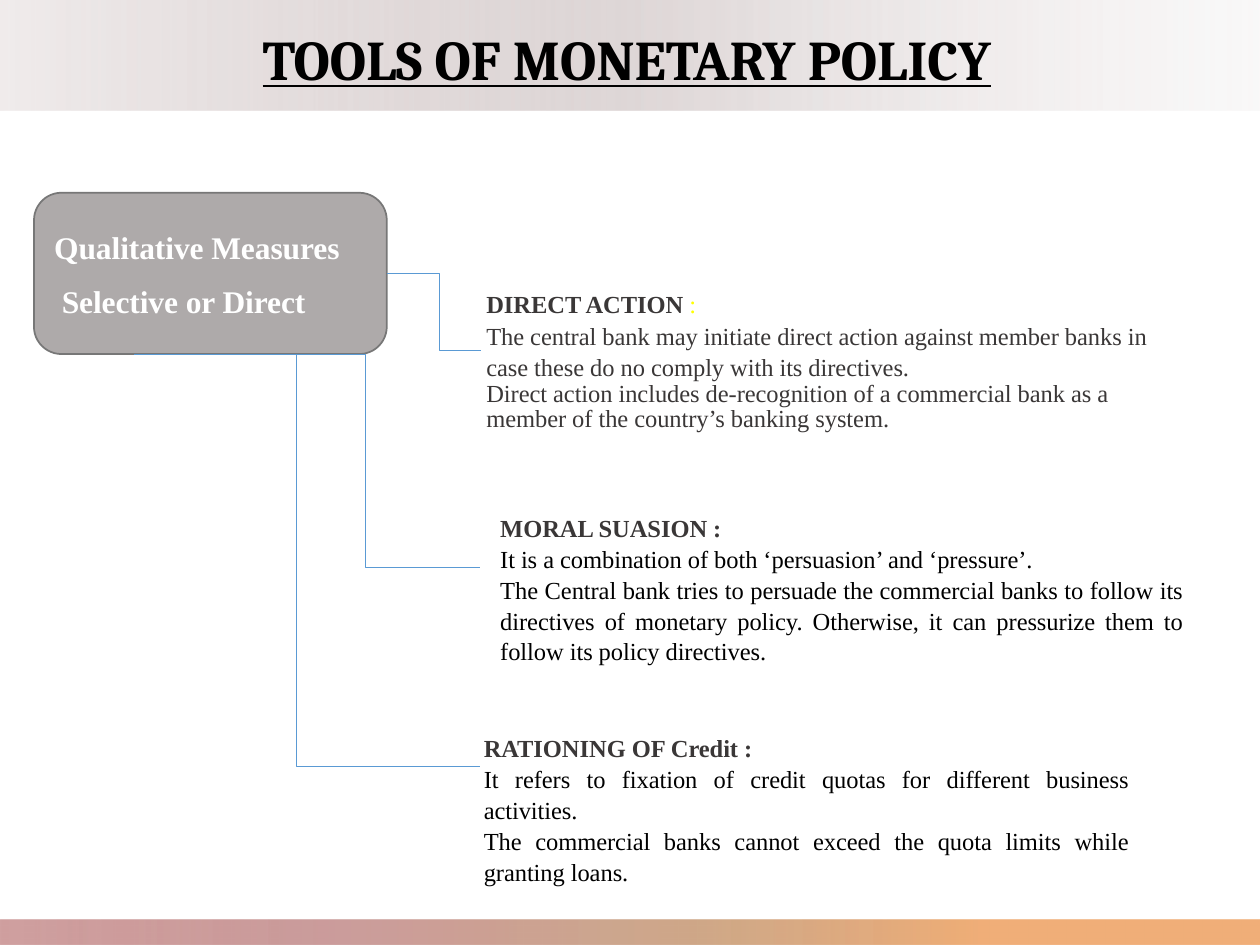
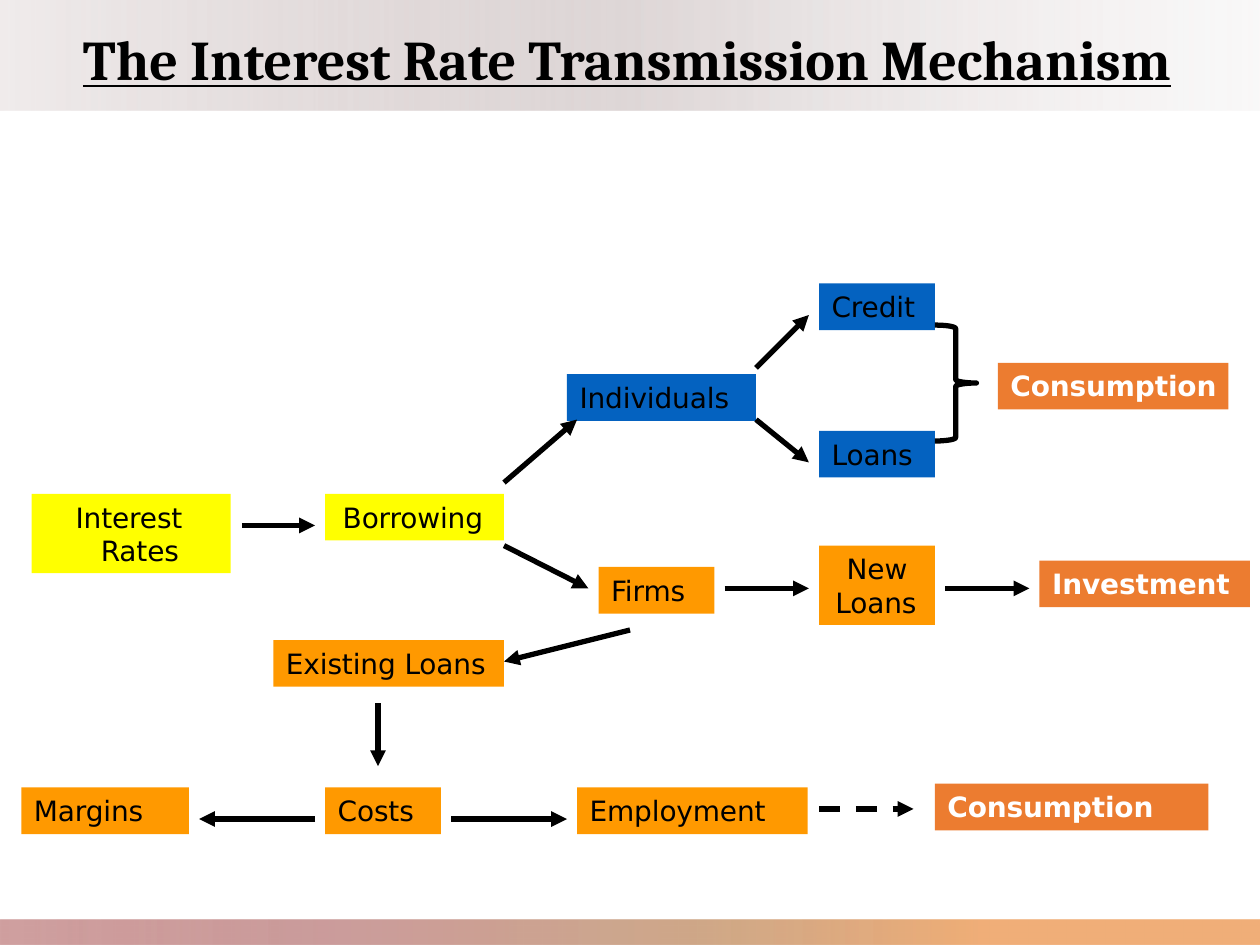
from typing import NamedTuple

import pptx
import pptx.dml.color
import pptx.enum.dml
import pptx.enum.shapes
import pptx.enum.text
import pptx.oxml
import pptx.oxml.ns
import pptx.util
from lxml import etree

Inches = pptx.util.Inches
Pt = pptx.util.Pt
SHAPE = pptx.enum.shapes.MSO_SHAPE
CONNECTOR = pptx.enum.shapes.MSO_CONNECTOR
ALIGN = pptx.enum.text.PP_ALIGN
ANCHOR = pptx.enum.text.MSO_ANCHOR
qn = pptx.oxml.ns.qn

BLACK, WHITE, CHARCOAL = "000000", "FFFFFF", "3A3737"
YELLOW, BLUE, AMBER, ORANGE = "FFFF00", "0462C0", "FF9900", "EC7C30"
ELBOW_BLUE, BOX_GREY, BOX_EDGE = "5A9AD4", "AEAAAA", "777777"
TITLE_FONT, BODY_FONT, NODE_FONT = "Cambria", "Times New Roman", "DejaVu Sans"
LETTER_SPACING = "-5"  # hundredths of a point
NODE_HEIGHT = 0.37


class Stop(NamedTuple):
    position: int
    color: str
    opacity: int


class Band(NamedTuple):
    top: float
    height: float
    stops: tuple[Stop, ...]


class Measure(NamedTuple):
    left: float
    top: float
    width: float
    heading: str
    body: tuple[str, ...]
    indent: float = 0.01
    colon_color: str = CHARCOAL
    body_color: str = BLACK
    alignment: ALIGN = ALIGN.JUSTIFY
    spacings: tuple = (1.05, 1.05)
    before: tuple[float, ...] = (0, 0)


class Elbow(NamedTuple):
    start: tuple[float, float]
    end: tuple[float, float]
    bend_x: float


class Line(NamedTuple):
    text: str
    indent: float = 0.1


class Node(NamedTuple):
    left: float
    top: float
    width: float
    color: str
    lines: tuple[Line, ...]
    height: float = NODE_HEIGHT


class Arrow(NamedTuple):
    start: tuple[float, float]
    end: tuple[float, float]
    dashed: bool = False


BANDS = (
    Band(0, 0.88, (Stop(0, "B29D9D", 19), Stop(50, "CFC4C4", 68), Stop(100, "E7E2E2", 22))),
    Band(7.3, 0.2, (Stop(0, "800000", 37), Stop(27, "953735", 49),
                    Stop(55, "984807", 47), Stop(78, "E46C0A", 55))),
)

MEASURES = (
    Measure(3.85, 2.27, 5.39, "DIRECT ACTION", (
        "The central bank may initiate direct action against member banks in case these "
        "do no comply with its directives.",
        "Direct action includes de-recognition of a commercial bank as a member of the "
        "country’s banking system."),
        colon_color=YELLOW, body_color=CHARCOAL, alignment=ALIGN.LEFT,
        spacings=(1.05, Pt(14.3)), before=(1, 0.6)),
    Measure(3.84, 4.05, 5.55, "MORAL SUASION", (
        "It is a combination of both ‘persuasion’ and ‘pressure’.",
        "The Central bank tries to persuade the commercial banks to follow its directives "
        "of monetary policy. Otherwise, it can pressurize them to follow its policy "
        "directives."), indent=0.13),
    Measure(3.83, 5.8, 5.13, "RATIONING OF Credit", (
        "It refers to fixation of credit quotas for different business activities.",
        "The commercial banks cannot exceed the quota limits while granting loans.")),
)

ELBOWS = (
    Elbow((3.07, 2.17), (3.82, 2.78), 3.49),
    Elbow((2.16, 2.81), (3.81, 4.5), 2.9),
    Elbow((1.06, 2.81), (3.81, 6.08), 2.35),
)

NODES = (
    Node(0.25, 3.92, 1.58, YELLOW, (Line("Interest", 0.35), Line("Rates", 0.55)), 0.63),
    Node(2.58, 3.92, 1.42, YELLOW, (Line("Borrowing", 0.14),)),
    Node(4.5, 2.97, 1.5, BLUE, (Line("Individuals"),)),
    Node(6.5, 2.25, 0.92, BLUE, (Line("Credit"),)),
    Node(6.5, 3.42, 0.92, BLUE, (Line("Loans"),)),
    Node(7.92, 2.88, 1.83, ORANGE, (Line("Consumption"),)),
    Node(4.75, 4.5, 0.92, AMBER, (Line("Firms"),)),
    Node(6.5, 4.33, 0.92, AMBER, (Line("New", 0.22), Line("Loans", 0.13)), 0.63),
    Node(8.25, 4.45, 1.67, ORANGE, (Line("Investment"),)),
    Node(2.17, 5.08, 1.83, AMBER, (Line("Existing Loans"),)),
    Node(2.58, 6.25, 0.92, AMBER, (Line("Costs"),)),
    Node(4.58, 6.25, 1.83, AMBER, (Line("Employment"),)),
    Node(0.17, 6.25, 1.33, AMBER, (Line("Margins"),)),
    Node(7.42, 6.22, 2.17, ORANGE, (Line("Consumption"),)),
)

ARROWS = (
    Arrow((1.92, 4.17), (2.5, 4.17)),
    Arrow((4, 3.83), (4.58, 3.33)),
    Arrow((6, 2.92), (6.42, 2.5)),
    Arrow((6, 3.33), (6.42, 3.67)),
    Arrow((4, 4.33), (4.67, 4.67)),
    Arrow((5.75, 4.67), (6.42, 4.67)),
    Arrow((7.5, 4.67), (8.17, 4.67)),
    Arrow((5, 5), (4, 5.25)),
    Arrow((2.5, 6.5), (1.58, 6.5)),
    Arrow((3.58, 6.5), (4.5, 6.5)),
    Arrow((3, 5.58), (3, 6.08)),
    Arrow((6.5, 6.42), (7.25, 6.42), dashed=True),
)


def rgb(color: str) -> pptx.dml.color.RGBColor:
    return pptx.dml.color.RGBColor.from_string(color)


def write(frame, text: str, *, font: str, size: float, color: str = BLACK,
          bold: bool = False, underline: bool = False, indent: float = 0.01,
          alignment=ALIGN.LEFT, before: float = 0, spacing=None,
          same_line: bool = False) -> None:
    """Add text as a new paragraph, or as one more run when same_line is set."""
    paragraph = frame.paragraphs[-1]
    if not same_line:
        if paragraph.runs:
            paragraph = frame.add_paragraph()
        paragraph.alignment = alignment
        paragraph.space_before = Pt(before)
        paragraph.line_spacing = spacing
        paragraph._p.get_or_add_pPr().set("marL", str(Inches(indent)))
    run = paragraph.add_run()
    run.text = text
    run.font.name, run.font.size = font, Pt(size)
    run.font.bold, run.font.underline = bold, underline
    run.font.color.rgb = rgb(color)
    run.font._element.set("spc", LETTER_SPACING)


def prepare_frame(shape, top_inset: float = 0.01, anchor=ANCHOR.TOP):
    frame = shape.text_frame
    frame.word_wrap = True
    frame.vertical_anchor = anchor
    frame.margin_left = frame.margin_right = frame.margin_bottom = 0
    frame.margin_top = Inches(top_inset)
    return frame


def add_text_frame(slide, left: float, top: float, width: float, height: float,
                   anchor=ANCHOR.TOP):
    box = slide.shapes.add_textbox(Inches(left), Inches(top), Inches(width), Inches(height))
    return prepare_frame(box, anchor=anchor)


def add_shape(slide, kind, left: float, top: float, width: float, height: float,
              fill: str | None = None, line: str | None = None, line_width: float = 1):
    shape = slide.shapes.add_shape(
        kind, Inches(left), Inches(top), Inches(width), Inches(height))
    shape.shadow.inherit = False
    if fill:
        shape.fill.solid()
        shape.fill.fore_color.rgb = rgb(fill)
    else:
        shape.fill.background()
    if line:
        shape.line.color.rgb = rgb(line)
        shape.line.width = Pt(line_width)
    else:
        shape.line.fill.background()
    return shape


def add_band(slide, band: Band) -> None:
    shape = add_shape(slide, SHAPE.RECTANGLE, 0, band.top, 10, band.height)
    shape.fill.gradient()
    shape.fill.gradient_angle = 0
    stop_list = shape._element.spPr.find(qn("a:gradFill")).find(qn("a:gsLst"))
    for default_stop in list(stop_list):
        stop_list.remove(default_stop)
    for stop in band.stops:
        entry = etree.SubElement(stop_list, qn("a:gs"), pos=str(stop.position * 1000))
        color = etree.SubElement(entry, qn("a:srgbClr"), val=stop.color)
        etree.SubElement(color, qn("a:alpha"), val=str(stop.opacity * 1000))


def add_line(slide, kind, start: tuple[float, float], end: tuple[float, float],
             color: str, width: float):
    connector = slide.shapes.add_connector(
        kind, *(Inches(value) for value in (*start, *end)))
    connector.line.color.rgb = rgb(color)
    connector.line.width = Pt(width)
    etree.SubElement(connector._element.spPr, qn("a:effectLst"))
    return connector


def add_elbow(slide, elbow: Elbow) -> None:
    connector = add_line(slide, CONNECTOR.ELBOW, elbow.start, elbow.end, ELBOW_BLUE, 0.5)
    share = (elbow.bend_x - elbow.start[0]) / (elbow.end[0] - elbow.start[0])
    geometry = connector._element.spPr.find(qn("a:prstGeom"))
    guides = geometry.find(qn("a:avLst"))
    if guides is None:
        guides = etree.SubElement(geometry, qn("a:avLst"))
    etree.SubElement(guides, qn("a:gd"), name="adj1", fmla=f"val {round(share * 100000)}")


def add_arrow(slide, arrow: Arrow) -> None:
    connector = add_line(slide, CONNECTOR.STRAIGHT, arrow.start, arrow.end, BLACK, 3)
    if arrow.dashed:
        connector.line.dash_style = pptx.enum.dml.MSO_LINE.DASH
    line = connector._element.spPr.find(qn("a:ln"))
    etree.SubElement(line, qn("a:tailEnd"), type="triangle")


def add_node(slide, node: Node) -> None:
    shape = add_shape(slide, SHAPE.RECTANGLE, node.left, node.top, node.width,
                      node.height, fill=node.color)
    frame = prepare_frame(shape, top_inset=0.05)
    outcome = node.color == ORANGE
    for line in node.lines:
        write(frame, line.text, font=NODE_FONT, size=16, indent=line.indent,
              color=WHITE if outcome else BLACK, bold=outcome)


def add_measure(slide, measure: Measure) -> None:
    frame = add_text_frame(slide, measure.left, measure.top, measure.width, 1.19)
    layout = dict(font=BODY_FONT, size=14, indent=measure.indent,
                  alignment=measure.alignment)
    write(frame, measure.heading + " ", color=CHARCOAL, bold=True, spacing=1.05, **layout)
    write(frame, ":", color=measure.colon_color, bold=measure.colon_color == CHARCOAL,
          same_line=True, **layout)
    for text, spacing, before in zip(measure.body, measure.spacings, measure.before):
        write(frame, text, color=measure.body_color, spacing=spacing, before=before, **layout)


def add_titled_slide(presentation, title: str):
    slide = presentation.slides.add_slide(presentation.slide_layouts[6])
    for band in BANDS:
        add_band(slide, band)
    frame = add_text_frame(slide, 0.47, 0.2, 9, 0.51, anchor=ANCHOR.MIDDLE)
    write(frame, title, font=TITLE_FONT, size=32, bold=True, underline=True,
          alignment=ALIGN.CENTER)
    return slide


def build_tools_slide(presentation) -> None:
    slide = add_titled_slide(presentation, "TOOLS OF MONETARY POLICY")
    box = add_shape(slide, SHAPE.ROUNDED_RECTANGLE, 0.27, 1.53, 2.8, 1.28, BOX_GREY, BOX_EDGE)
    box.adjustments[0] = 0.17
    frame = add_text_frame(slide, 0.42, 1.68, 2.31, 0.85)
    for text, indent in (("Qualitative Measures", 0.01), ("Selective or Direct", 0.07)):
        write(frame, text, font=BODY_FONT, size=18, color=WHITE, bold=True,
              indent=indent, spacing=1.41)
    for measure in MEASURES:
        add_measure(slide, measure)
    for elbow in ELBOWS:
        add_elbow(slide, elbow)


def build_transmission_slide(presentation) -> None:
    slide = add_titled_slide(presentation, "The Interest Rate Transmission Mechanism")
    for node in NODES:
        add_node(slide, node)
    for arrow in ARROWS:
        add_arrow(slide, arrow)
    add_shape(slide, SHAPE.RIGHT_BRACE, 7.42, 2.58, 0.33, 0.92, line=BLACK, line_width=3)


def main() -> None:
    presentation = pptx.Presentation()
    presentation.slide_width, presentation.slide_height = Inches(10), Inches(7.5)
    build_tools_slide(presentation)
    build_transmission_slide(presentation)
    presentation.save("out.pptx")


if __name__ == "__main__":
    main()
